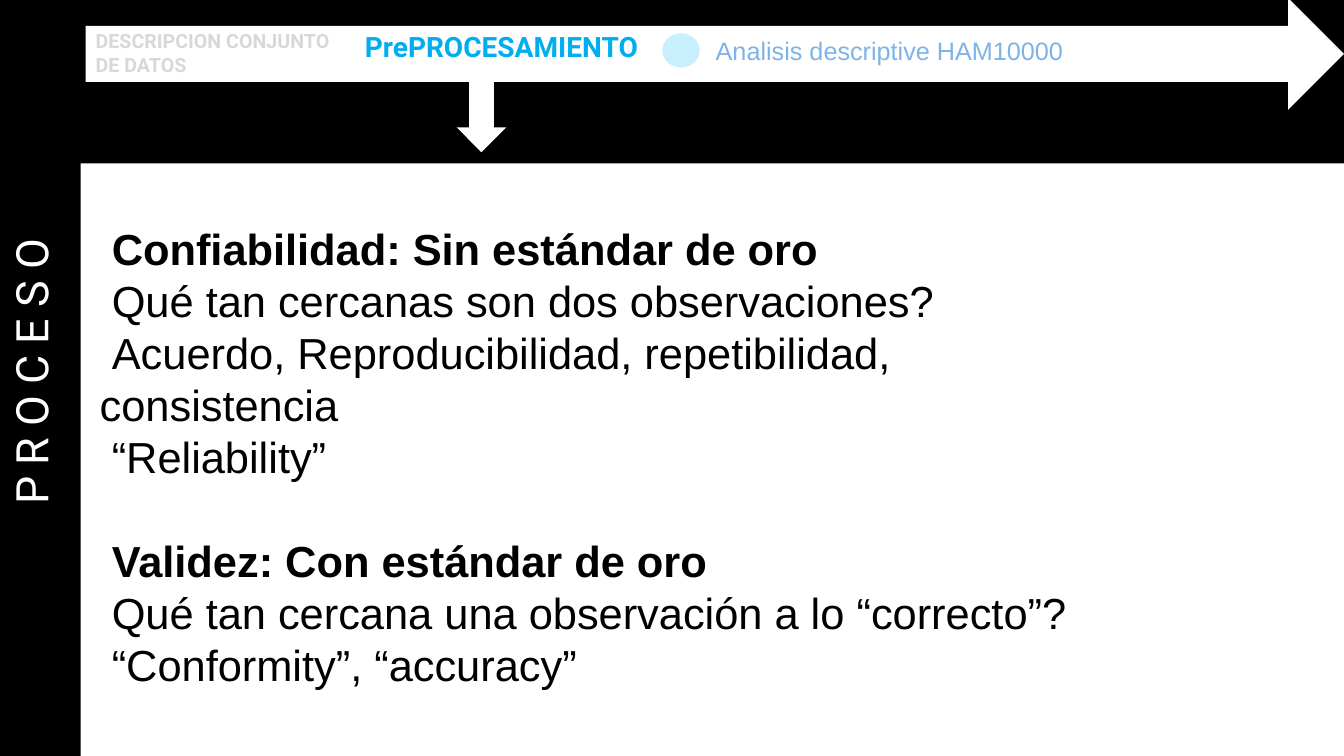
from dataclasses import dataclass

from pptx import Presentation
from pptx import util as u
from pptx.dml.color import RGBColor
from pptx.enum import shapes, text

BLACK = RGBColor(0x00, 0x00, 0x00)
WHITE = RGBColor(0xFF, 0xFF, 0xFF)
GREY = RGBColor(0xD8, 0xD8, 0xD8)
CYAN = RGBColor(0x00, 0xAE, 0xEF)
PALE_CYAN = RGBColor(0xC8, 0xEF, 0xFE)
SOFT_BLUE = RGBColor(0x7E, 0xB3, 0xE7)

BODY_SIZE = 31
BODY_LINE = u.Pt(37.2)
BODY_INDENT = u.Inches(0.12)


@dataclass(frozen=True)
class Box:
    left: float
    top: float
    width: float
    height: float

    def lengths(self) -> tuple[u.Length, ...]:
        return tuple(u.Inches(n) for n in (self.left, self.top, self.width, self.height))


@dataclass(frozen=True)
class Figure:
    kind: shapes.MSO_SHAPE
    box: Box
    fill: RGBColor


@dataclass(frozen=True)
class Label:
    wording: str
    box: Box
    size: float
    font: str
    color: RGBColor
    bold: bool = False
    rotation: float = 0


@dataclass(frozen=True)
class BodyLine:
    wording: str
    heading: bool = False
    indented: bool = True


HEADER_BAND = Figure(shapes.MSO_SHAPE.RECTANGLE, Box(0.62, 0, 12.76, 1.62), BLACK)
TIMELINE = Figure(shapes.MSO_SHAPE.RIGHT_ARROW, Box(0.85, -0.02, 12.48, 1.11), WHITE)
SIDE_BAND = Figure(shapes.MSO_SHAPE.RECTANGLE, Box(-0.11, 0, 0.91, 7.5), BLACK)
STEP_POINTER = Figure(shapes.MSO_SHAPE.DOWN_ARROW, Box(4.53, 0.74, 0.49, 0.77), WHITE)
STEP_DOT = Figure(shapes.MSO_SHAPE.OVAL, Box(6.57, 0.33, 0.37, 0.34), PALE_CYAN)

DATASET_STEP = Label("DESCRIPCION CONJUNTO DE DATOS", Box(0.85, 0.24, 2.62, 0.57),
                     14, "Roboto", GREY, bold=True)
PROCESS_TITLE = Label("P R O C E S O", Box(-1.5, 2.98, 3.61, 0.64),
                      32, "Roboto", WHITE, rotation=270)
CURRENT_STEP = Label("PrePROCESAMIENTO", Box(3.52, 0.24, 3, 0.44),
                     20, "Roboto", CYAN, bold=True)
ANALYSIS_STEP = Label("Analisis descriptive HAM10000", Box(7, 0.3, 4.71, 0.4),
                      18, "Arial", SOFT_BLUE)

BACK_TO_FRONT = [HEADER_BAND, TIMELINE, DATASET_STEP, SIDE_BAND, PROCESS_TITLE,
                 CURRENT_STEP, STEP_POINTER, STEP_DOT, ANALYSIS_STEP]

BODY_BOX = Box(0.89, 2.1, 12.41, 4.9)
BODY = [
    BodyLine("Confiabilidad: Sin estándar de oro", heading=True),
    BodyLine("Qué tan cercanas son dos observaciones?"),
    BodyLine("Acuerdo, Reproducibilidad, repetibilidad,"),
    BodyLine("consistencia", indented=False),
    BodyLine("“Reliability”"),
    BodyLine("Validez: Con estándar de oro", heading=True),
    BodyLine("Qué tan cercana una observación a lo “correcto”?"),
    BodyLine("“Conformity”, “accuracy”"),
]


def draw_figure(page, figure: Figure) -> None:
    shape = page.shapes.add_shape(figure.kind, *figure.box.lengths())
    shape.shadow.inherit = False
    shape.fill.solid()
    shape.fill.fore_color.rgb = figure.fill
    shape.line.fill.background()


def add_frame(page, box: Box, rotation: float = 0):
    """Add a wrapping, top-anchored text box and return its text frame."""
    shape = page.shapes.add_textbox(*box.lengths())
    shape.rotation = rotation
    frame = shape.text_frame
    frame.word_wrap = True
    frame.vertical_anchor = text.MSO_ANCHOR.TOP
    return frame


def style_runs(para, size: float, font: str, color: RGBColor, bold: bool) -> None:
    for span in para.runs:
        span.font.size = u.Pt(size)
        span.font.name = font
        span.font.color.rgb = color
        span.font.bold = bold


def draw_label(page, label: Label) -> None:
    frame = add_frame(page, label.box, label.rotation)
    frame.text = label.wording
    style_runs(frame.paragraphs[0], label.size, label.font, label.color, label.bold)


def draw_body(page, lines: list[BodyLine]) -> None:
    frame = add_frame(page, BODY_BOX)
    frame.margin_top = frame.margin_bottom = u.Inches(0.1)
    for index, line in enumerate(lines):
        para = frame.add_paragraph() if index else frame.paragraphs[0]
        para.text = line.wording
        para.line_spacing = BODY_LINE
        if line.heading and index:
            para.space_before = BODY_LINE
        if line.indented:
            para._p.get_or_add_pPr().set("marL", str(BODY_INDENT))
        style_runs(para, BODY_SIZE, "Arial", BLACK, line.heading)


def main() -> None:
    deck = Presentation()
    deck.slide_width, deck.slide_height = u.Inches(13.33), u.Inches(7.5)
    page = deck.slides.add_slide(deck.slide_layouts[6])
    page.background.fill.solid()
    page.background.fill.fore_color.rgb = WHITE
    for element in BACK_TO_FRONT:
        if isinstance(element, Figure):
            draw_figure(page, element)
        else:
            draw_label(page, element)
    draw_body(page, BODY)
    deck.save("out.pptx")


if __name__ == "__main__":
    main()
